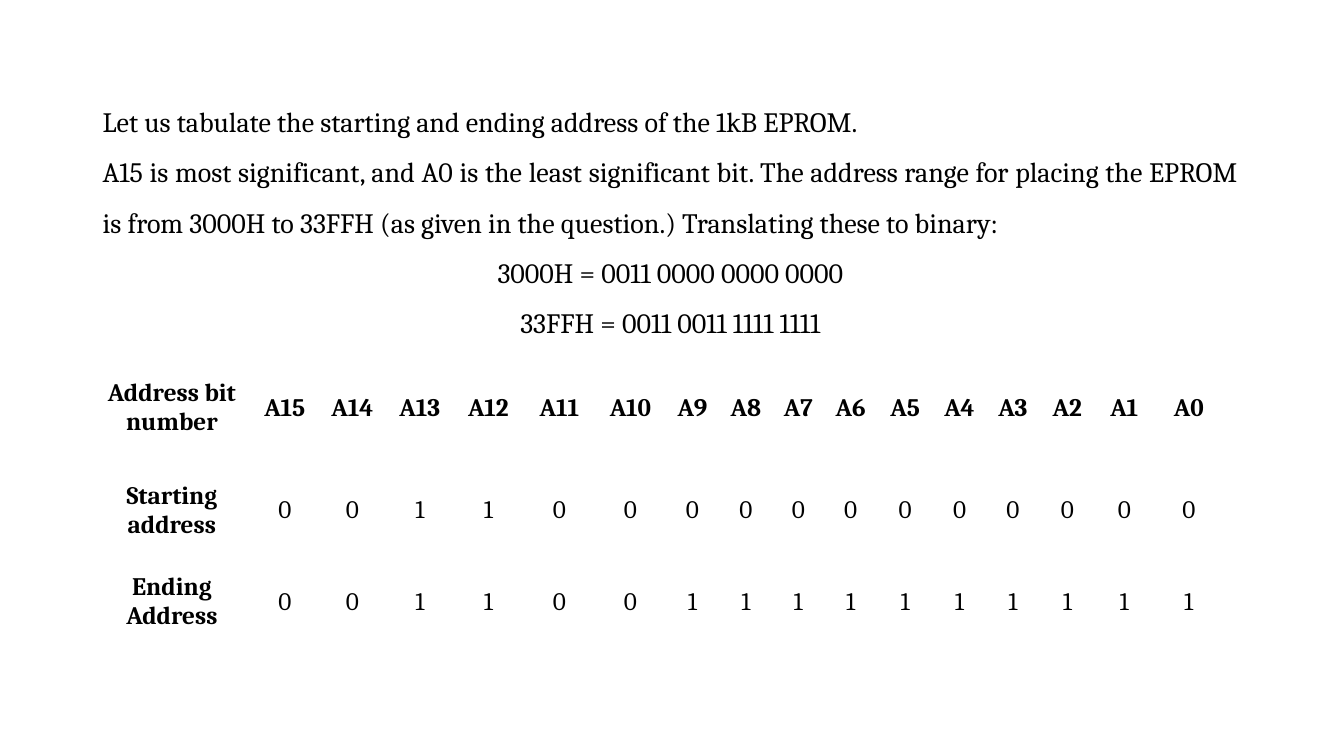
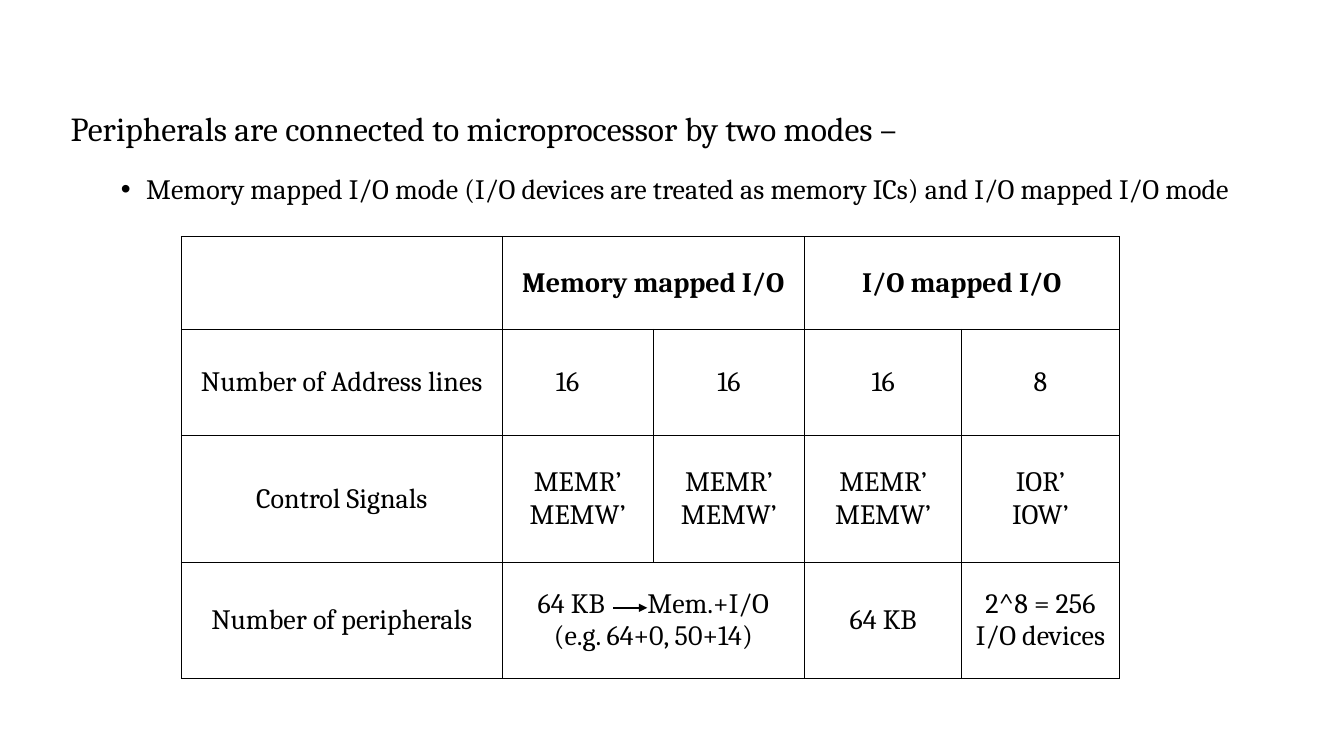
from lxml.etree import SubElement
from pptx import Presentation
from pptx.dml.color import RGBColor
from pptx.enum.shapes import MSO_CONNECTOR as Connector
from pptx.enum.text import MSO_ANCHOR as Anchor, MSO_AUTO_SIZE as AutoSize, PP_ALIGN as Align
from pptx.oxml import parse_xml
from pptx.oxml.ns import nsdecls, qn
from pptx.util import Pt

PX = 9144
FONT = "Cambria"
COLORS = {"ink": "000000", "paper": "FFFFFF"}
TITLE_AND_CONTENT, BLANK = 1, 6

INTRO = [
    ("Let us tabulate the starting and ending address of the 1kB EPROM.", Align.JUSTIFY),
    ("A15 is most significant, and A0 is the least significant bit. The address range for placing "
     "the EPROM is from 3000H to 33FFH (as given in the question.) Translating these to binary:",
     Align.JUSTIFY),
    ("3000H = 0011 0000 0000 0000", Align.CENTER),
    ("33FFH = 0011 0011 1111 1111", Align.CENTER),
]
ADDRESS_ROWS = [
    ["Address bit number"] + [f"A{bit}" for bit in range(15, -1, -1)],
    ["Starting address"] + list(f"{0x3000:016b}"),
    ["Ending Address"] + list(f"{0x33FF:016b}"),
]
BIT_WIDTHS = [67, 67, 67, 69, 72, 69, 54, 52, 52, 52, 56, 52, 54, 54, 59, 69]
SIGNALS = "MEMR’\nMEMW’"
MODE_ROWS = [
    ["", "Memory mapped I/O", "", "I/O mapped I/O", ""],
    ["Number of Address lines", "16", "16", "16", "8"],
    ["Control Signals", SIGNALS, SIGNALS, SIGNALS, "IOR’\nIOW’"],
    ["Number of peripherals", "64 KB Mem.+I/O\n(e.g. 64+0, 50+14)", "", "64 KB",
     "2^8 = 256\nI/O devices"],
]
MODE_SPANS = [(0, 1), (0, 3), (3, 1)]


def emu(*lengths):
    return [length * PX for length in lengths]


def color(name):
    return RGBColor.from_string(COLORS[name])


def style(paragraph, size, align, bold=False, spacing=None):
    paragraph.alignment = align
    paragraph.line_spacing = spacing
    paragraph.font.name = FONT
    paragraph.font.size = Pt(size)
    paragraph.font.bold = bold
    paragraph.font.color.rgb = color("ink")


def add_borders(cell):
    properties = cell._tc.get_or_add_tcPr()
    for order, side in enumerate(("lnL", "lnR", "lnT", "lnB")):
        properties.insert(order, parse_xml(
            f'<a:{side} {nsdecls("a")} w="12700"><a:solidFill>'
            f'<a:srgbClr val="{COLORS["ink"]}"/></a:solidFill></a:{side}>'))


def add_grid(slide, box, rows, widths, heights, size, is_bold, spans=(), ruled=False):
    grid = slide.shapes.add_table(len(rows), len(widths), *emu(*box)).table
    grid.first_row = grid.horz_banding = False
    for column, width in zip(grid.columns, widths):
        column.width = width * PX
    for row, height in zip(grid.rows, heights):
        row.height = height * PX
    for r, c in spans:
        grid.cell(r, c).merge(grid.cell(r, c + 1))
    for r, texts in enumerate(rows):
        for c, text in enumerate(texts):
            cell = grid.cell(r, c)
            cell.text = text
            cell.vertical_anchor = Anchor.MIDDLE
            cell.margin_left = cell.margin_right = 5 * PX
            for paragraph in cell.text_frame.paragraphs:
                style(paragraph, size, Align.CENTER, is_bold(r, c))
            if ruled:
                cell.fill.solid()
                cell.fill.fore_color.rgb = color("paper")
                add_borders(cell)
            else:
                cell.fill.background()
    return grid


def add_intro(slide, box):
    frame = slide.shapes.add_textbox(*emu(*box)).text_frame
    frame.word_wrap = True
    frame.text = "\n".join(text for text, _ in INTRO)
    for paragraph, (_, align) in zip(frame.paragraphs, INTRO):
        style(paragraph, 20, align, spacing=1.5)


def set_bullet(paragraph, left, hanging, mark=None):
    properties = paragraph._p.get_or_add_pPr()
    properties.set("marL", str(left * PX))
    properties.set("indent", str(-hanging * PX))
    bullet = parse_xml(f'<a:buChar {nsdecls("a")} char="{mark}"/>' if mark
                       else f'<a:buNone {nsdecls("a")}/>')
    properties.find(qn("a:defRPr")).addprevious(bullet)


def add_modes_list(slide, box):
    body = slide.placeholders[1]
    body.left, body.top, body.width, body.height = emu(*box)
    frame = body.text_frame
    frame.auto_size = AutoSize.NONE
    frame.text = ("Peripherals are connected to microprocessor by two modes –\n"
                  "Memory mapped I/O mode (I/O devices are treated as memory ICs) "
                  "and I/O mapped I/O mode")
    lead, modes = frame.paragraphs
    modes.level = 1
    style(lead, 24, Align.JUSTIFY, spacing=1.5)
    style(modes, 20, Align.JUSTIFY, spacing=1.5)
    lead.space_before, modes.space_before = Pt(10), Pt(5)
    set_bullet(lead, 0, 0)
    set_bullet(modes, 75, 25, "•")


def add_split_arrow(slide, grid, left, top):
    split = grid.cell(3, 1).text_frame.paragraphs[0]
    split.runs[0].text = "64 KB"
    gap, target = split.add_run(), split.add_run()
    gap.text, target.text = " ", "Mem.+I/O"
    gap._r.get_or_add_rPr().set("spc", "2600")
    arrow = slide.shapes.add_connector(
        Connector.STRAIGHT, *emu(left + 428, top + 368, left + 462, top + 368))
    arrow.line.color.rgb = color("ink")
    arrow.line.width = Pt(1)
    SubElement(arrow.line._get_or_add_ln(), qn("a:tailEnd"), type="triangle")
    SubElement(arrow._element.spPr, qn("a:effectLst"))


def add_modes_table(slide, box):
    grid = add_grid(slide, box, MODE_ROWS, [318, 150, 150, 156, 156], [92, 105, 126, 115], 20,
                    lambda r, c: r == 0, MODE_SPANS, ruled=True)
    grid.cell(1, 1).margin_right = 25 * PX
    add_split_arrow(slide, grid, *box[:2])


def build_address_slide(deck):
    slide = deck.slides.add_slide(deck.slide_layouts[BLANK])
    add_intro(slide, (92, 82, 1146, 307))
    add_grid(slide, (92, 349, 1125, 293), ADDRESS_ROWS, [157] + BIT_WIDTHS, [112, 91, 91], 18,
             lambda r, c: r == 0 or c == 0)


def build_modes_slide(deck):
    slide = deck.slides.add_slide(deck.slide_layouts[TITLE_AND_CONTENT])
    title = slide.shapes.title._element
    title.getparent().remove(title)
    add_modes_list(slide, (60, 82, 1218, 594))
    add_modes_table(slide, (180, 235, 931, 438))


def main():
    deck = Presentation()
    deck.slide_width, deck.slide_height = emu(1333, 750)
    build_address_slide(deck)
    build_modes_slide(deck)
    deck.save("out.pptx")


if __name__ == "__main__":
    main()
